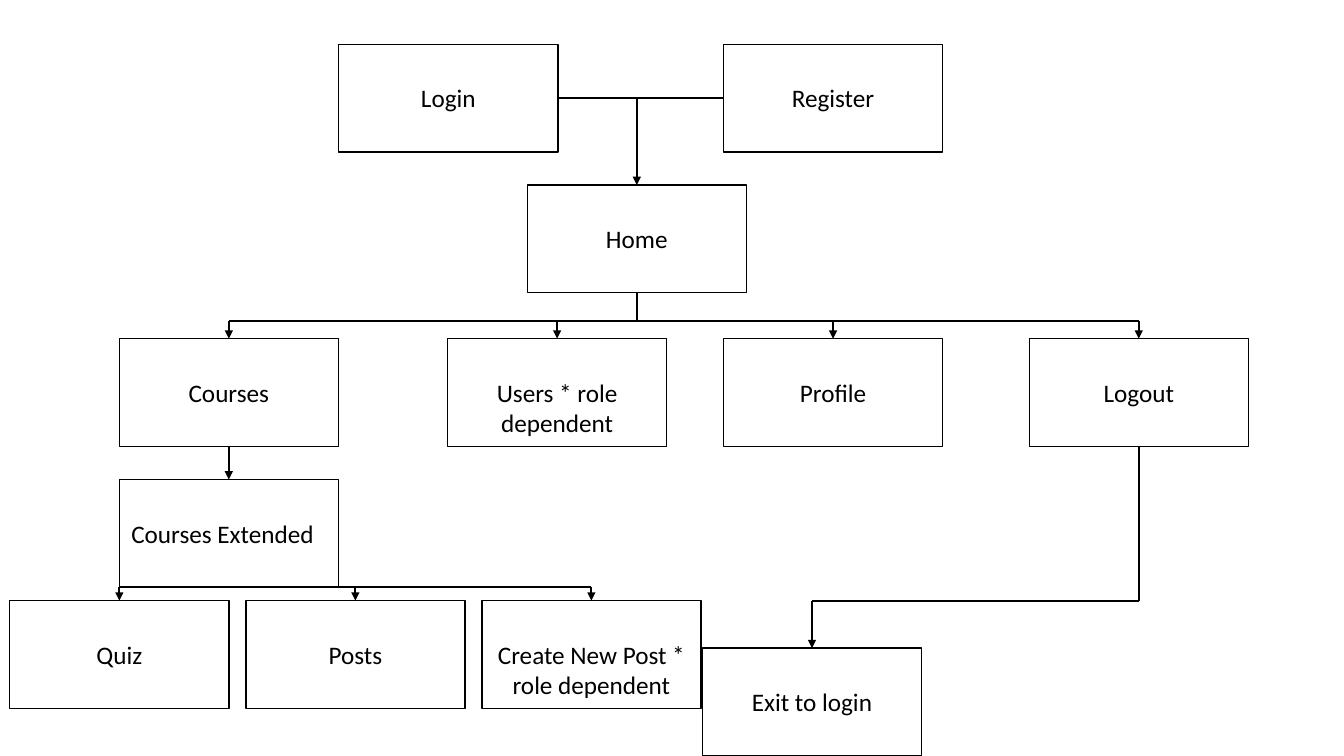
from dataclasses import dataclass

from lxml import etree
from pptx import Presentation
from pptx import util as u
from pptx.dml import color
from pptx.enum import shapes, text
from pptx.oxml import ns


@dataclass(frozen=True)
class Theme:
    ink: color.RGBColor = color.RGBColor(0, 0, 0)
    paper: color.RGBColor = color.RGBColor(255, 255, 255)
    font: str = "Calibri"
    label_size: float = 18
    border: float = 1
    link: float = 1.5


@dataclass(frozen=True)
class Page:
    label: str
    left: float
    top: float
    label_height: float = 29
    label_shift: float = 0

    @property
    def center(self) -> float:
        return self.left + BOX_WIDTH / 2

    @property
    def middle(self) -> float:
        return self.top + BOX_HEIGHT / 2

    @property
    def right(self) -> float:
        return self.left + BOX_WIDTH

    @property
    def bottom(self) -> float:
        return self.top + BOX_HEIGHT


@dataclass(frozen=True)
class Link:
    x1: float
    y1: float
    x2: float
    y2: float
    arrow: bool = False


THEME = Theme()
BOX_WIDTH, BOX_HEIGHT = 156.5, 77
LABEL_OFFSET = 24
TWO_LINES = 51
ENTRY_TOP, HOME_TOP, MENU_TOP, EXTENDED_TOP, ACTION_TOP, EXIT_TOP = 31.6, 132.2, 241.9, 342.5, 429, 463
ACTION_LEFT, ACTION_STEP = 7, 168.6
MENU_BUS = 229


def add_text(slide, content: str, *, left: float, top: float, width: float, height: float,
             size: float = THEME.label_size, ink: color.RGBColor = THEME.ink,
             align: text.PP_ALIGN = text.PP_ALIGN.CENTER) -> None:
    box = slide.shapes.add_textbox(u.Pt(left), u.Pt(top), u.Pt(width), u.Pt(height))
    frame = box.text_frame
    frame.word_wrap = True
    frame.auto_size = text.MSO_AUTO_SIZE.SHAPE_TO_FIT_TEXT
    paragraph = frame.paragraphs[0]
    paragraph.alignment = align
    run = paragraph.add_run()
    run.text = content
    run.font.name = THEME.font
    run.font.size = u.Pt(size)
    run.font.color.rgb = ink


def draw_page(slide, page: Page) -> None:
    shape = slide.shapes.add_shape(shapes.MSO_SHAPE.RECTANGLE, u.Pt(page.left), u.Pt(page.top),
                                   u.Pt(BOX_WIDTH), u.Pt(BOX_HEIGHT))
    shape.shadow.inherit = False
    shape.fill.solid()
    shape.fill.fore_color.rgb = THEME.paper
    shape.line.color.rgb = THEME.ink
    shape.line.width = u.Pt(THEME.border)
    add_text(slide, page.label, left=page.left + page.label_shift, top=page.top + LABEL_OFFSET,
             width=BOX_WIDTH, height=page.label_height)


def draw_link(slide, link: Link) -> None:
    connector = slide.shapes.add_connector(shapes.MSO_CONNECTOR.STRAIGHT, u.Pt(link.x1), u.Pt(link.y1),
                                           u.Pt(link.x2), u.Pt(link.y2))
    connector.line.color.rgb = THEME.ink
    connector.line.width = u.Pt(THEME.link)
    properties = connector.element.find(ns.qn("p:spPr"))
    if link.arrow:
        etree.SubElement(properties.find(ns.qn("a:ln")), ns.qn("a:tailEnd"), type="triangle")
    etree.SubElement(properties, ns.qn("a:effectLst"))


def branch(pages: list[Page], bus: float) -> list[Link]:
    drops = [Link(page.center, bus, page.center, page.top, arrow=True) for page in pages]
    return [Link(pages[0].center, bus, pages[-1].center, bus), *drops]


def main() -> None:
    presentation = Presentation()
    presentation.slide_width, presentation.slide_height = u.Pt(960), u.Pt(540)
    slide = presentation.slides.add_slide(presentation.slide_layouts.get_by_name("Blank"))

    login = Page("Login", 242, ENTRY_TOP)
    register = Page("Register", 516.8, ENTRY_TOP)
    home = Page("Home", 376.6, HOME_TOP)
    courses = Page("Courses", 85.2, MENU_TOP)
    users = Page("Users * role dependent", 319.7, MENU_TOP, TWO_LINES)
    profile = Page("Profile", 516.8, MENU_TOP)
    logout = Page("Logout", 735.2, MENU_TOP)
    extended = Page("Courses Extended", 85.2, EXTENDED_TOP, label_shift=-4.5)
    actions = [
        Page(label, ACTION_LEFT + index * ACTION_STEP, ACTION_TOP, height)
        for index, (label, height) in enumerate(
            [("Quiz", 29), ("Posts", 29), ("Create New Post * role dependent", TWO_LINES)])
    ]
    leave = Page("Exit to login", 501.8, EXIT_TOP)
    menu = [courses, users, profile, logout]

    links = [
        Link(login.right, login.middle, register.left, register.middle),
        Link(home.center, login.middle, home.center, home.top, arrow=True),
        Link(home.center, home.bottom, home.center, MENU_BUS),
        *branch(menu, MENU_BUS),
        Link(logout.center, logout.bottom, logout.center, ACTION_TOP),
        Link(leave.center, ACTION_TOP, logout.center, ACTION_TOP),
        Link(leave.center, ACTION_TOP, leave.center, leave.top, arrow=True),
        Link(courses.center, courses.bottom, courses.center, extended.top, arrow=True),
        *branch(actions, extended.bottom),
    ]

    for page in [login, register, home, *menu, extended, *actions, leave]:
        draw_page(slide, page)
    for link in links:
        draw_link(slide, link)
    presentation.save("out.pptx")


if __name__ == "__main__":
    main()
